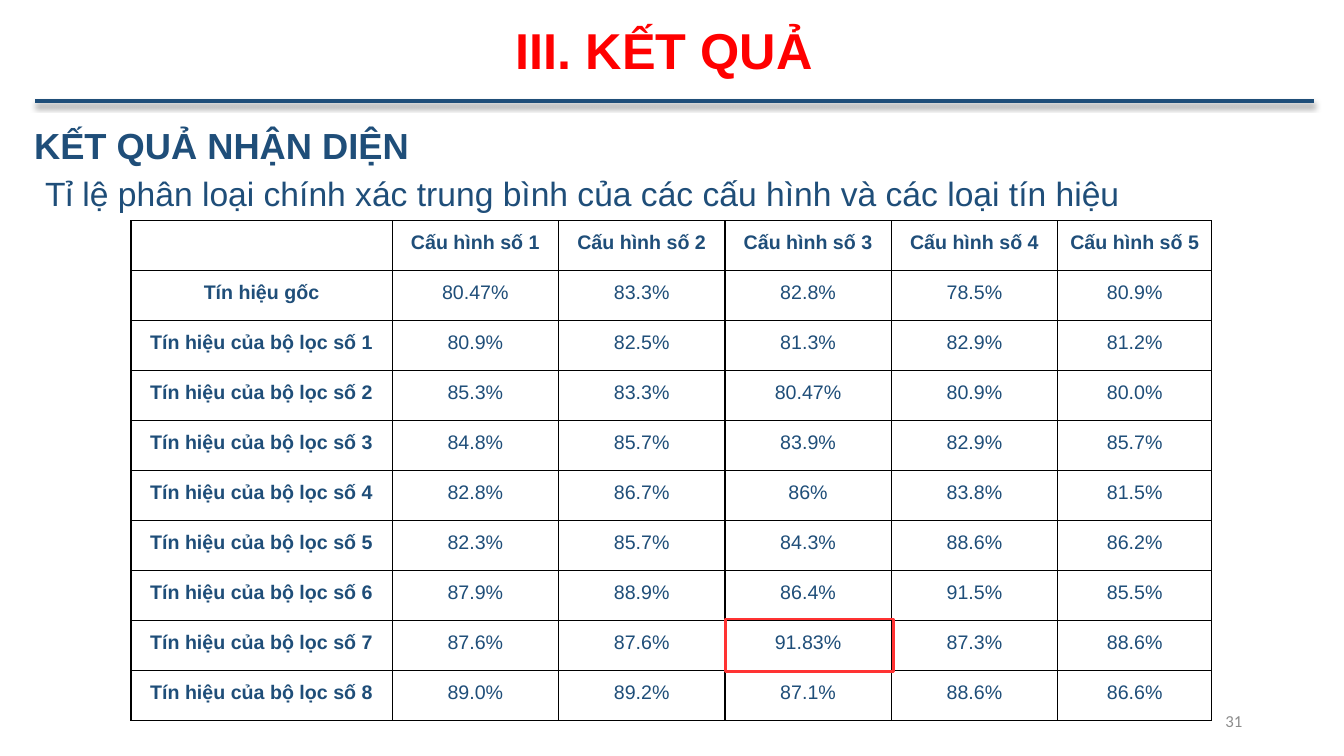
"""Build the slide with the recognition results table."""
from lxml import etree
from pptx import Presentation
from pptx.dml.color import RGBColor
from pptx.enum.shapes import MSO_CONNECTOR, MSO_SHAPE
from pptx.enum.text import MSO_ANCHOR, MSO_AUTO_SIZE, PP_ALIGN
from pptx.oxml import parse_xml
from pptx.oxml.ns import nsdecls, qn
from pptx.util import Inches, Pt

LEFT, CENTER, RIGHT = PP_ALIGN.LEFT, PP_ALIGN.CENTER, PP_ALIGN.RIGHT
TOP, MIDDLE = MSO_ANCHOR.TOP, MSO_ANCHOR.MIDDLE
FIXED = MSO_AUTO_SIZE.NONE
STRAIGHT, RECT = MSO_CONNECTOR.STRAIGHT, MSO_SHAPE.RECTANGLE
NAVY = RGBColor(0x1F, 0x4E, 0x79)
RED = RGBColor(0xFF, 0, 0)
CORAL = RGBColor(0xFF, 0x33, 0x33)
GRAY = RGBColor(0x8C, 0x8C, 0x8C)

SHADOW = f"""<a:effectLst {nsdecls('a')}>
<a:outerShdw blurRad="50800" dist="38100" dir="5400000" algn="t" rotWithShape="0">
<a:srgbClr val="000000"><a:alpha val="40000"/></a:srgbClr></a:outerShdw></a:effectLst>"""

WIDTHS = [2.59] + [1.65] * 4 + [1.53]
HEIGHT = 4.96 / 10
RATES = [
    "80.47% 83.3% 82.8% 78.5% 80.9%",
    "80.9% 82.5% 81.3% 82.9% 81.2%",
    "85.3% 83.3% 80.47% 80.9% 80.0%",
    "84.8% 85.7% 83.9% 82.9% 85.7%",
    "82.8% 86.7% 86% 83.8% 81.5%",
    "82.3% 85.7% 84.3% 88.6% 86.2%",
    "87.9% 88.9% 86.4% 91.5% 85.5%",
    "87.6% 87.6% 91.83% 87.3% 88.6%",
    "89.0% 89.2% 87.1% 88.6% 86.6%",
]


class Board:
    """Hold the style and the current slide."""

    def __init__(self, slide, font="Arial", color=NAVY):
        self.slide, self.font, self.color = slide, font, color

    def style(self, frame, text, size, bold=False, align=LEFT, color=None, font=None, space=1.0):
        """Put one styled paragraph into a text frame."""
        frame.text = text
        para = frame.paragraphs[0]
        para.alignment, para.line_spacing = align, space
        para.font.name, para.font.size = font or self.font, Pt(size)
        para.font.bold = bold
        para.font.color.rgb = color or self.color
        return para

    def title(self, box, text, size, **look):
        """Place and fill the title placeholder."""
        shape = self.slide.shapes.title
        shape.left, shape.top, shape.width, shape.height = map(Inches, box)
        frame = shape.text_frame
        frame.auto_size, frame.vertical_anchor = FIXED, MIDDLE
        self.style(frame, text, size, **look)

    def label(self, box, text, size, anchor=TOP, **look):
        """Add a wrapped text box."""
        frame = self.slide.shapes.add_textbox(*map(Inches, box)).text_frame
        frame.word_wrap, frame.vertical_anchor = True, anchor
        return self.style(frame, text, size, **look)

    def rule(self, ends, width):
        """Add a straight line with a soft shadow."""
        line = self.slide.shapes.add_connector(STRAIGHT, *map(Inches, ends))
        line.line.color.rgb, line.line.width = self.color, Pt(width)
        line._element.spPr.append(parse_xml(SHADOW))

    def frame(self, box, color, width):
        """Add an unfilled rectangle."""
        shape = self.slide.shapes.add_shape(RECT, *map(Inches, box))
        shape.shadow.inherit = False
        shape.fill.background()
        shape.line.color.rgb, shape.line.width = color, Pt(width)

    def border(self, cell):
        """Draw thin black lines on all sides of a cell."""
        props = cell._tc.get_or_add_tcPr()
        for spot, side in enumerate("LRTB"):
            edge = etree.Element(qn(f"a:ln{side}"), w="12700")
            fill = etree.SubElement(edge, qn("a:solidFill"))
            etree.SubElement(fill, qn("a:srgbClr"), val="000000")
            props.insert(spot, edge)

    def table(self, left, top, widths, height, rows, size):
        """Add a bordered table with bold heads."""
        box = (left, top, sum(widths), height * len(rows))
        grid = self.slide.shapes.add_table(len(rows), len(widths), *map(Inches, box)).table
        grid.first_row = grid.horz_banding = False
        for col, width in zip(grid.columns, widths):
            col.width = Inches(width)
        for i, row in enumerate(rows):
            grid.rows[i].height = Inches(height)
            for j, text in enumerate(row):
                cell = grid.cell(i, j)
                cell.fill.background()
                self.border(cell)
                cell.margin_left = cell.margin_right = Inches(0.07)
                cell.margin_top = cell.margin_bottom = 0
                self.style(cell.text_frame, text, size, i == 0 or j == 0, CENTER, space=1.5)


def main():
    """Compose and save the slide."""
    deck = Presentation()
    deck.slide_width, deck.slide_height = Inches(13.33), Inches(7.5)
    board = Board(deck.slides.add_slide(deck.slide_layouts[5]))
    board.label((9.42, 6.95, 3, 0.4), "31", 12, MIDDLE, align=RIGHT, color=GRAY, font="Calibri")
    board.rule((0.35, 1, 13.03, 1), 3)
    board.title((1.77, 0.2, 9.64, 0.65), "III. KẾT QUẢ", 36,
                bold=True, align=CENTER, color=RED, space=0.9)
    head = board.label((0.24, 1, 4.34, 0.73), "KẾT QUẢ NHẬN DIỆN", 25.9, bold=True, space=1.4)
    head.space_before = Pt(10)
    board.label((0.35, 1.67, 11.39, 0.5),
                "Tỉ lệ phân loại chính xác trung bình của các cấu hình và các loại tín hiệu", 24)
    heads = [""] + [f"Cấu hình số {n}" for n in range(1, 6)]
    names = ["Tín hiệu gốc"] + [f"Tín hiệu của bộ lọc số {n}" for n in range(1, 9)]
    rows = [heads] + [[name] + line.split() for name, line in zip(names, RATES)]
    board.table(1.3, 2.19, WIDTHS, HEIGHT, rows, 14)
    board.frame((7.2, 6.14, 1.66, 0.52), CORAL, 2)
    deck.save("out.pptx")


if __name__ == "__main__":
    main()
